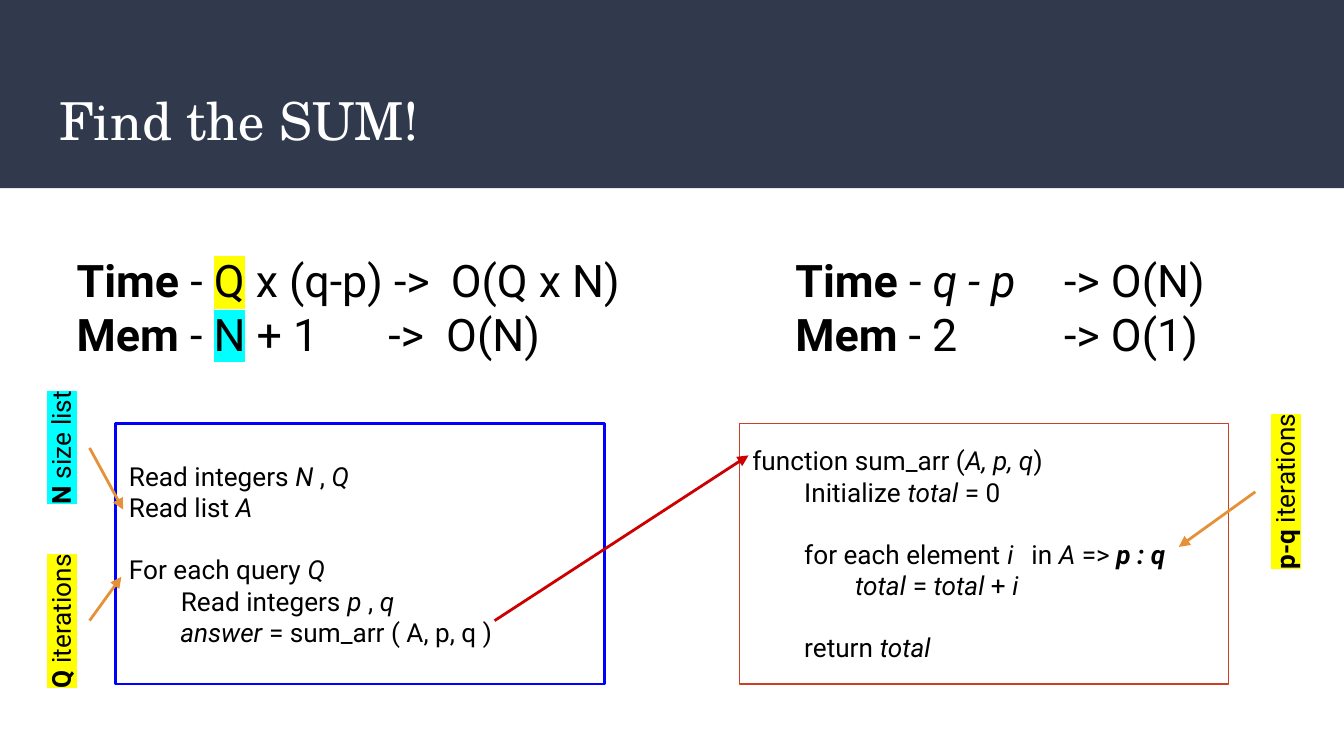
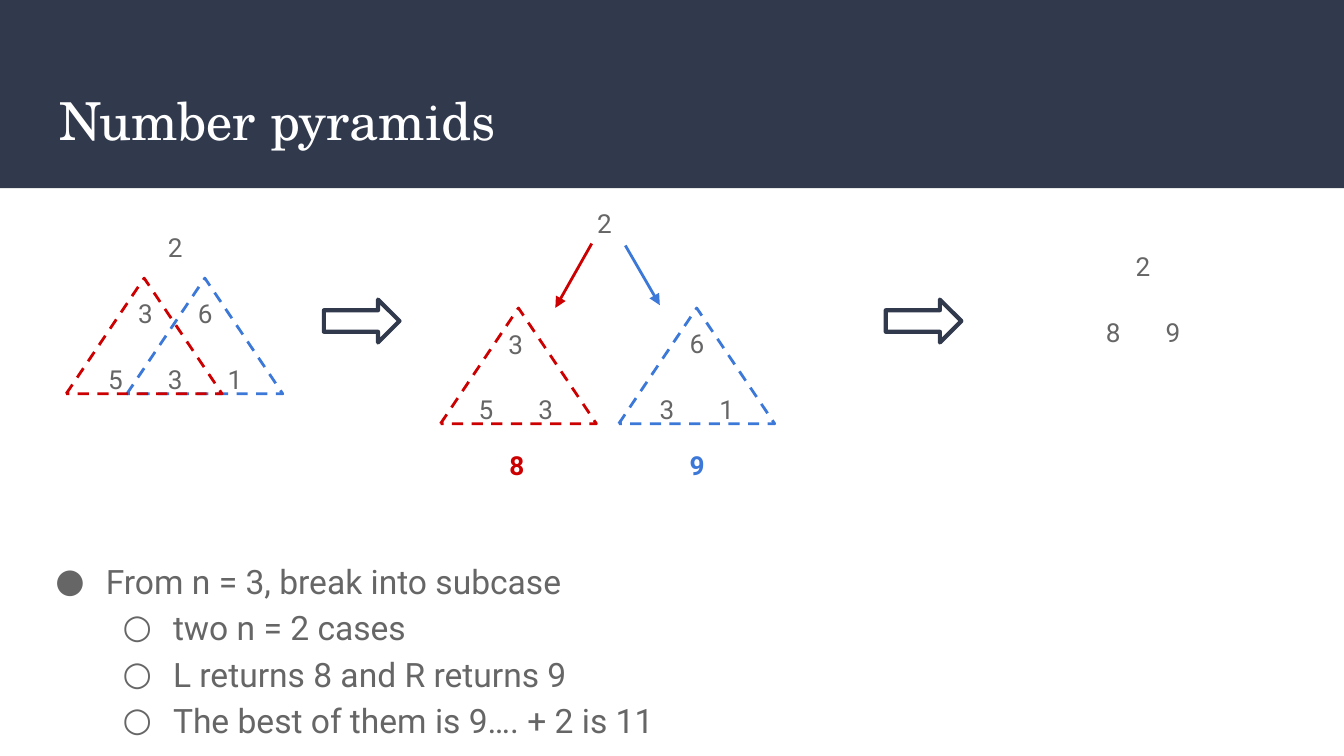
from pptx import Presentation
from pptx.dml.color import RGBColor as RGB
from pptx.enum.dml import MSO_LINE as Dash
from pptx.enum.shapes import MSO_CONNECTOR as Conn, MSO_SHAPE as Form
from pptx.enum.text import MSO_ANCHOR as Anchor, MSO_AUTO_SIZE as Auto, PP_ALIGN as Align
from pptx.oxml.ns import qn
from pptx.util import Pt
from lxml.etree import SubElement as Sub

NAVY = RGB(0x31, 0x39, 0x4D)
WHITE = RGB(0xFF, 0xFF, 0xFF)
BLACK = RGB(0, 0, 0)
GREY = RGB(0x66, 0x66, 0x66)
RED = RGB(0xCC, 0, 0)
BLUE = RGB(0x3C, 0x78, 0xD8)
PURE = RGB(0, 0, 0xFF)
RUST = RGB(0xCC, 0x41, 0x25)
AMBER = RGB(0xE6, 0x91, 0x38)
YELLOW = RGB(0xFF, 0xFF, 0)
CYAN = RGB(0, 0xFF, 0xFF)
MARKS = {"y": YELLOW, "c": CYAN}


def put(shape, lines, size=14, hue=BLACK, face="Roboto", bold=False,
        align=Align.LEFT, anchor=Anchor.TOP, lead=None, gaps=None, tabs=None, dots=None):
    frame = shape.text_frame
    frame.word_wrap = True
    frame.auto_size = Auto.NONE
    frame.vertical_anchor = anchor
    frame.margin_left = frame.margin_right = Pt(7.2)
    frame.margin_top = frame.margin_bottom = Pt(7.2)
    for n, line in enumerate(lines):
        para = frame.paragraphs[0] if n == 0 else frame.add_paragraph()
        props = para._p.get_or_add_pPr()
        if dots:
            para.level = dots[n]
            props.set("marL", str(Pt(36 * (dots[n] + 1))))
            props.set("indent", str(Pt(-27)))
            Sub(Sub(props, qn("a:buClr")), qn("a:srgbClr"), val=str(hue))
            Sub(props, qn("a:buFont"), typeface=face)
            Sub(props, qn("a:buChar"), char="●○"[dots[n]])
        if tabs and n in tabs:
            stops = Sub(props, qn("a:tabLst"))
            kind, places = tabs[n]
            for place in places:
                Sub(stops, qn("a:tab"), pos=str(Pt(place)), algn=kind)
        para.alignment = align
        para.line_spacing = lead
        para.space_before = Pt((gaps or {}).get(n, 0))
        para.space_after = Pt(0)
        for text, style in [(line, "")] if isinstance(line, str) else line:
            run = para.add_run()
            run.text = text
            font = run.font
            font.size = Pt(size)
            font.bold = bold or "b" in style
            font.italic = "i" in style
            font.color.rgb = hue
            for key, shade in MARKS.items():
                if key in style:
                    glow = Sub(run._r.rPr, qn("a:highlight"))
                    Sub(glow, qn("a:srgbClr"), val=str(shade))
            font.name = face


def link(slide, hue, *ends):
    line = slide.shapes.add_connector(Conn.STRAIGHT, *map(Pt, ends))
    line.line.color.rgb = hue
    line.line.width = Pt(1.5)
    Sub(line.line._get_or_add_ln(), qn("a:tailEnd"), type="triangle")
    Sub(line._element.spPr, qn("a:effectLst"))


deck = Presentation()
deck.slide_width, deck.slide_height = Pt(720), Pt(405)

slides = []
for layout, title in [(5, "Find the SUM!"), (1, "Number pyramids")]:
    slide = deck.slides.add_slide(deck.slide_layouts[layout])
    head = slide.shapes.title
    head.left, head.top, head.width, head.height = Pt(24.5), Pt(39.5), Pt(671), Pt(49)
    put(head, [title], size=28, hue=WHITE, face="TeX Gyre Schola", anchor=Anchor.MIDDLE)
    slides.append(slide)
sums, cones = slides

band = sums.shapes.add_shape(Form.RECTANGLE, Pt(0), Pt(0), Pt(720), Pt(100.8))
band.shadow.inherit = False
band.fill.solid()
band.fill.fore_color.rgb = NAVY
band.line.fill.background()
deck.slide_master.shapes._spTree.insert(2, band._element)

costs = [
    (419, 262,
     [[("Time ", "b"), ("- ", ""), ("q - p", "i"), ("\t-> O(N)", "")],
      [("Mem ", "b"), ("- 2\t-> O(1)", "")]],
     {0: ("l", [144]), 1: ("l", [144])}),
    (34, 318,
     [[("Time ", "b"), ("- ", ""), ("Q", "y"), (" x (q-p) ->\tO(Q x N)", "")],
      [("Mem ", "b"), ("- ", ""), ("N", "c"), (" + 1\t->\tO(N)", "")]],
     {0: ("l", [200.5]), 1: ("l", [167, 198])}),
]
for left, width, lines, tabs in costs:
    box = sums.shapes.add_textbox(Pt(left), Pt(122.5), Pt(width), Pt(83.5))
    put(box, lines, size=24, anchor=Anchor.MIDDLE, tabs=tabs)

notes = [
    (-13, 317, 91, "Q ", "iterations", "y"),
    (-13, 224, 91, "N ", "size list", "c"),
    (631, 247.5, 114.5, "p-q ", "iterations", "y"),
]
for left, top, width, name, rest, mark in notes:
    box = sums.shapes.add_textbox(Pt(left), Pt(top), Pt(width), Pt(31.5))
    box.rotation = 270
    put(box, [[(name, "b" + mark), (rest, mark)]], align=Align.CENTER)

codes = [
    (62, PURE, 1.5, {2: 16.5}, None,
     [[("Read integers ", ""), ("N ", "i"), (", ", ""), ("Q", "i")],
      [("Read list ", ""), ("A", "i")],
      [("For each query ", ""), ("Q", "i")],
      [("        Read integers ", ""), ("p ", "i"), (", ", ""), ("q", "i")],
      [("        answer ", "i"), ("= sum_arr ( A, p, q )", "")]]),
    (396, RUST, 0.75, {2: 16.5, 4: 16.5}, {2: ("l", [149.5])},
     [[("function sum_arr (", ""), ("A, p, q", "i"), (")", "")],
      [("        Initialize ", ""), ("total ", "i"), ("= 0", "")],
      [("        for each element ", ""), ("i", "i"), ("\tin ", ""), ("A ", "i"),
       ("=> ", ""), ("p : q", "bi")],
      [("                total ", "i"), ("= ", ""), ("total ", "i"), ("+ ", ""), ("i", "i")],
      [("        return ", ""), ("total", "i")]]),
]
for left, hue, weight, gaps, tabs, lines in codes:
    box = sums.shapes.add_shape(Form.RECTANGLE, Pt(left), Pt(227), Pt(262), Pt(139.5))
    box.shadow.inherit = False
    box.fill.background()
    box.line.color.rgb = hue
    box.line.width = Pt(weight)
    put(box, lines, anchor=Anchor.MIDDLE, gaps=gaps, tabs=tabs)

link(sums, AMBER, 48, 332.5, 65, 309)
link(sums, AMBER, 48, 240, 66, 273)
link(sums, AMBER, 672.5, 263.5, 631.5, 293)
link(sums, RED, 265, 332.5, 401, 244)

grids = [
    (0.5, 114.5, 187, 143, ["2", "3 6", "5 3 1"], GREY),
    (294.5, 101.5, 59, 36, ["2"], GREY),
    (207.5, 166, 138, 96, ["3", "5 3"], GREY),
    (304.5, 165.5, 138, 96, ["6", "3 1"], GREY),
    (247.5, 231, 59, 36, ["8"], RED),
    (344, 231, 59, 36, ["9"], BLUE),
    (543.5, 124.5, 138, 96, ["2", "8 9"], GREY),
]
for left, top, width, height, rows, hue in grids:
    lines, tabs = [], {}
    for n, row in enumerate(rows):
        cells = row.split()
        start = width / 2 - 7.2 - 16 * (len(cells) - 1)
        tabs[n] = ("ctr", [start + 32 * k for k in range(len(cells))])
        lines.append("".join("\t" + cell for cell in cells))
    box = cones.shapes.add_textbox(Pt(left), Pt(top), Pt(width), Pt(height))
    put(box, lines, hue=hue, bold=hue != GREY, lead=1.15, gaps={1: 16, 2: 16}, tabs=tabs)

for left, top, hue in [(68, 149, BLUE), (35.5, 149, RED), (236, 165, RED), (331.5, 165, BLUE)]:
    cone = cones.shapes.add_shape(Form.ISOSCELES_TRIANGLE, Pt(left), Pt(top), Pt(83.5), Pt(62))
    cone.shadow.inherit = False
    cone.fill.background()
    cone.line.color.rgb = hue
    cone.line.width = Pt(1.5)
    cone.line.dash_style = Dash.DASH

for left in (173.5, 474.5):
    arrow = cones.shapes.add_shape(Form.RIGHT_ARROW, Pt(left), Pt(160.5), Pt(40.5), Pt(23))
    arrow.shadow.inherit = False
    arrow.fill.background()
    arrow.line.color.rgb = NAVY
    arrow.line.width = Pt(2.25)

link(cones, RED, 317, 130.5, 297.5, 165)
link(cones, BLUE, 335, 131.5, 353.5, 163.5)

body = cones.placeholders[1]
body.left, body.top, body.width, body.height = Pt(13.5), Pt(290), Pt(520.5), Pt(109.5)
put(body, ["From n = 3, break into subcase", "two n = 2 cases",
           "L returns 8 and R returns 9", "The best of them is 9…. + 2 is 11"],
    size=18, hue=GREY, lead=1.15, dots=[0, 1, 1, 1])

deck.save("out.pptx")
